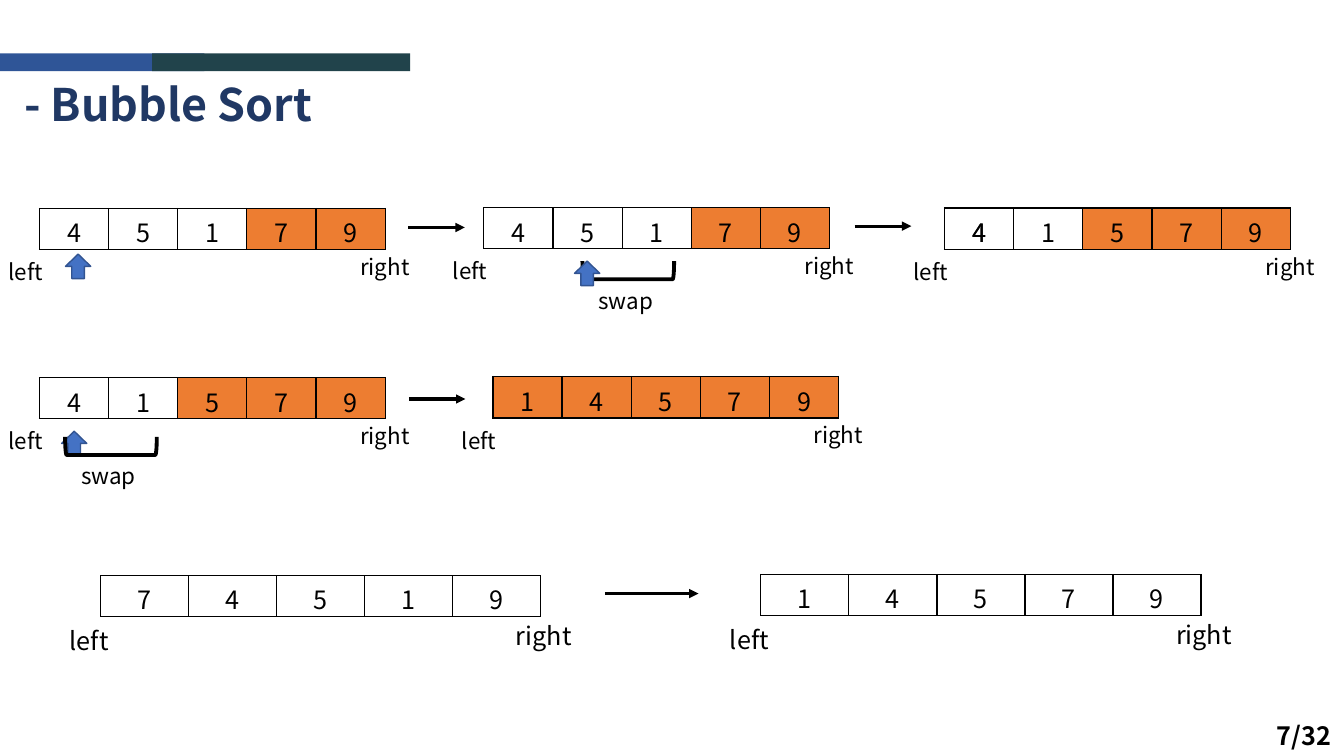
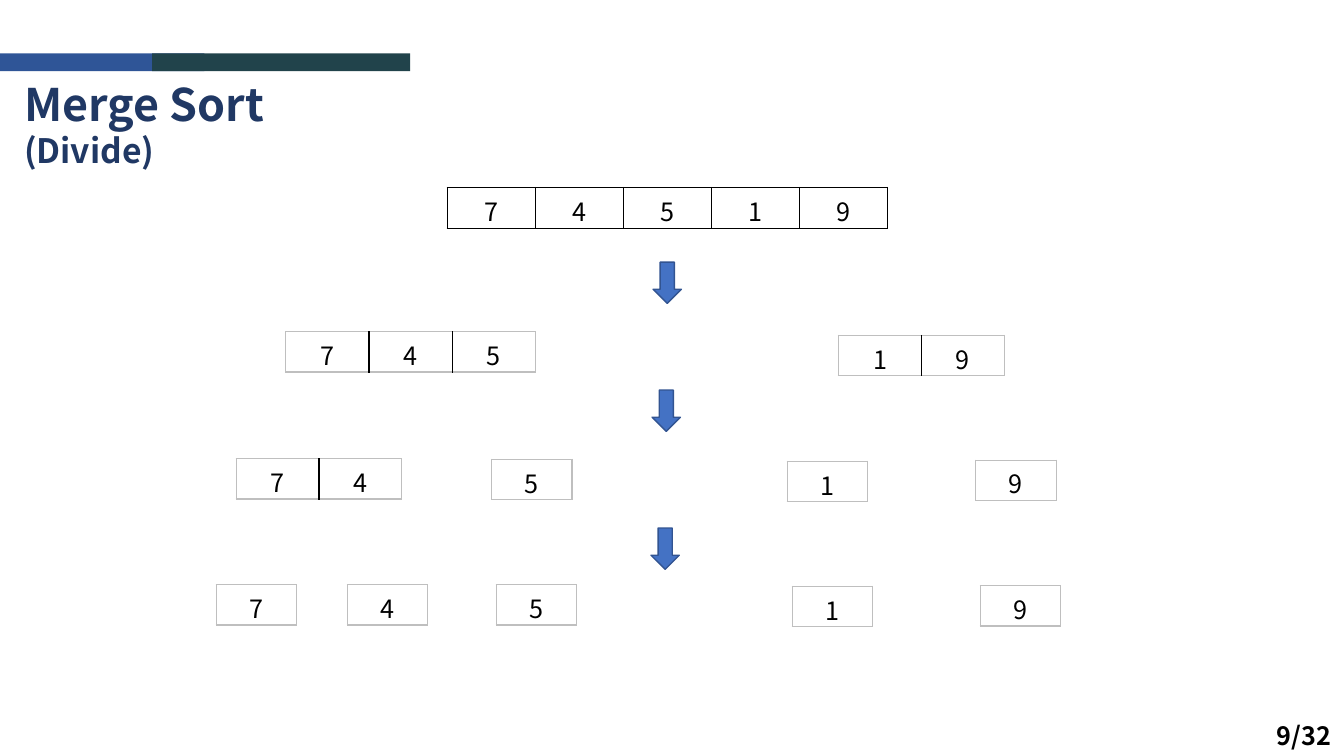
import pptx
import pptx.dml.color
import pptx.enum.shapes
import pptx.enum.text
import pptx.oxml
import pptx.oxml.ns
import pptx.util

Pt = pptx.util.Pt
SHAPE = pptx.enum.shapes.MSO_SHAPE
ALIGN = pptx.enum.text.PP_ALIGN
ANCHOR = pptx.enum.text.MSO_ANCHOR
FONT = "Noto Sans CJK KR"
HUES = {
    "title": "203864",
    "band": "2F5597",
    "dark": "21434B",
    "ink": "000000",
    "cell": "FFFFFF",
    "done": "ED7D31",
    "arrow": "4472C4",
    "edge": "325491",
    "grey": "BFBFBF",
}


def hue(name):
    return pptx.dml.color.RGBColor.from_string(HUES[name])


def paint(fill, color):
    if color:
        fill.solid()
        fill.fore_color.rgb = hue(color)
    else:
        fill.background()


def style(para, text, size, color="ink", bold=False, align=ALIGN.LEFT):
    para.text = text
    para.alignment = align
    para.font.name = FONT
    para.font.size = Pt(size)
    para.font.bold = bold
    para.font.color.rgb = hue(color)


def label(slide, x, y, w, h, text, size, bold=False):
    box = slide.shapes.add_textbox(Pt(x), Pt(y), Pt(w), Pt(h))
    box.text_frame.word_wrap = False
    style(box.text_frame.paragraphs[0], text, size, bold=bold)


def shape(slide, kind, x, y, w, h, fill=None, line=None, width=1, turn=0):
    item = slide.shapes.add_shape(kind, Pt(x), Pt(y), Pt(w), Pt(h))
    item.shadow.inherit = False
    item.rotation = turn
    paint(item.fill, fill)
    paint(item.line.fill, line)
    if line:
        item.line.width = Pt(width)


def frame(deck, lines, page):
    slide = deck.slides.add_slide(deck.slide_layouts[5])
    title = slide.shapes.title
    title.left, title.top, title.width, title.height = Pt(10), Pt(51), Pt(400), Pt(75)
    text = title.text_frame
    text.auto_size = pptx.enum.text.MSO_AUTO_SIZE.NONE
    text.vertical_anchor = ANCHOR.TOP
    for i, (line, size) in enumerate(lines):
        para = text.add_paragraph() if i else text.paragraphs[0]
        style(para, line, size, "title", True)
    shape(slide, SHAPE.RECTANGLE, 0, 38.2, 146, 12.7, "band")
    shape(slide, SHAPE.RECTANGLE, 108.7, 38.2, 184.3, 12.7, "dark")
    label(slide, 905, 511, 57, 29, page, 18, True)
    return slide


def border(cell, edges):
    props = cell._tc.get_or_add_tcPr()
    for i, (side, color) in enumerate(zip("LRTB", edges)):
        props.insert(i, pptx.oxml.parse_xml(
            f'<a:ln{side} {pptx.oxml.ns.nsdecls("a")} w="12700"><a:solidFill>'
            f'<a:srgbClr val="{HUES[color]}"/></a:solidFill></a:ln{side}>'))


def array(slide, x, y, step, values, done=0, rim="ink", base="cell", tall=29.4, pad=3.6):
    count = len(values)
    table = slide.shapes.add_table(
        1, count, Pt(x), Pt(y), Pt(step * count), Pt(tall)).table
    table.first_row = table.horz_banding = False
    for i, value in enumerate(values):
        table.columns[i].width = Pt(step)
        cell = table.cell(0, i)
        cell.margin_top, cell.margin_bottom = Pt(pad), 0
        cell.vertical_anchor = ANCHOR.TOP
        paint(cell.fill, "done" if i >= count - done else base if i else None)
        style(cell.text_frame.paragraphs[0], value, 18, align=ALIGN.CENTER)
        left = "ink" if i else rim
        right = "ink" if i < count - 1 else rim
        border(cell, (left, right, rim, rim))


def state(slide, x, y, step, values, done=0, size=16):
    array(slide, x, y, step, values, done)
    label(slide, x - 29.2, y + 32, 54, 27, "left", size)
    label(slide, x + step * len(values) - 25, y + 28.2, 66, 27, "right", size)


def link(slide, x, y, w):
    line = slide.shapes.add_connector(
        pptx.enum.shapes.MSO_CONNECTOR.STRAIGHT, Pt(x), Pt(y), Pt(x + w), Pt(y))
    line.line.color.rgb = hue("ink")
    line.line.width = Pt(2.25)
    space = pptx.oxml.ns.nsdecls("a")
    line.line._get_or_add_ln().append(
        pptx.oxml.parse_xml(f'<a:tailEnd {space} type="triangle"/>'))
    line._element.spPr.append(pptx.oxml.parse_xml(f"<a:effectLst {space}/>"))


def mark(slide, x, y):
    shape(slide, SHAPE.UP_ARROW, x, y, 18, 17.5, "arrow", "edge")


def swap(slide, x, y):
    wide, deep = 65.5, 13
    shift = (wide - deep) / 2
    shape(slide, SHAPE.LEFT_BRACKET, x + shift, y - shift, deep, wide,
          line="ink", width=2.75, turn=270)
    label(slide, x + 4.4, y + 14.8, wide, 27, "swap", 16)


def bubble(deck):
    slide = frame(deck, [("- Bubble Sort", 32)], "7/32")
    for x, y, values, done in (
        (28.2, 149, "45179", 2),
        (345.6, 148.4, "45179", 2),
        (674.7, 149, "41579", 2),
        (28.2, 269.8, "41579", 3),
        (352.1, 269.2, "14579", 3),
    ):
        state(slide, x, y, 49.4, values, done)
    for x, y, values, done in (
        (674.7, 148.6, "41579", 3),
        (352.1, 268.9, "14579", 4),
        (352.1, 269.2, "14579", 5),
    ):
        array(slide, x, y, 49.4, values, done)
    state(slide, 72, 411.2, 62.9, "74519", size=18)
    state(slide, 543.5, 410.4, 62.9, "14579", size=18)
    for x, y, w in ((291.5, 162.5, 40.5), (610.5, 161.5, 40.5),
                    (292, 285, 40.5), (432, 424, 67)):
        link(slide, x, y, w)
    mark(slide, 46.8, 181.5)
    mark(slide, 44, 308)
    swap(slide, 46.5, 312)
    swap(slide, 416, 186.5)
    mark(slide, 410.4, 186.5)


def merge(deck):
    slide = frame(deck, [("Merge Sort", 32), ("(Divide)", 24)], "9/32")
    array(slide, 319.5, 134, 62.9, "74519")
    for x, y, step, values in (
        (204, 236.9, 59.5, "745"), (599, 239.6, 59.2, "19"),
        (168.7, 327.6, 59.2, "74"), (351.2, 328.2, 57.4, "5"),
        (562.3, 329.6, 57.4, "1"), (697, 328.8, 57.4, "9"),
        (154.5, 417.6, 57.4, "7"), (248.2, 417.6, 57.4, "4"),
        (354.5, 417.6, 57.4, "5"), (565.8, 419, 57.4, "1"),
        (700.2, 418.3, 57.4, "9"),
    ):
        array(slide, x, y, step, values, rim="grey", base=None, tall=28.8, pad=3.2)
    for x, y in ((466.5, 187.2), (465.8, 278.6), (465, 377.2)):
        shape(slide, SHAPE.UP_ARROW, x, y, 20.2, 29.5, "arrow", "edge", turn=180)


def main():
    deck = pptx.Presentation()
    deck.slide_width, deck.slide_height = Pt(960), Pt(540)
    bubble(deck)
    merge(deck)
    deck.save("out.pptx")


if __name__ == "__main__":
    main()
